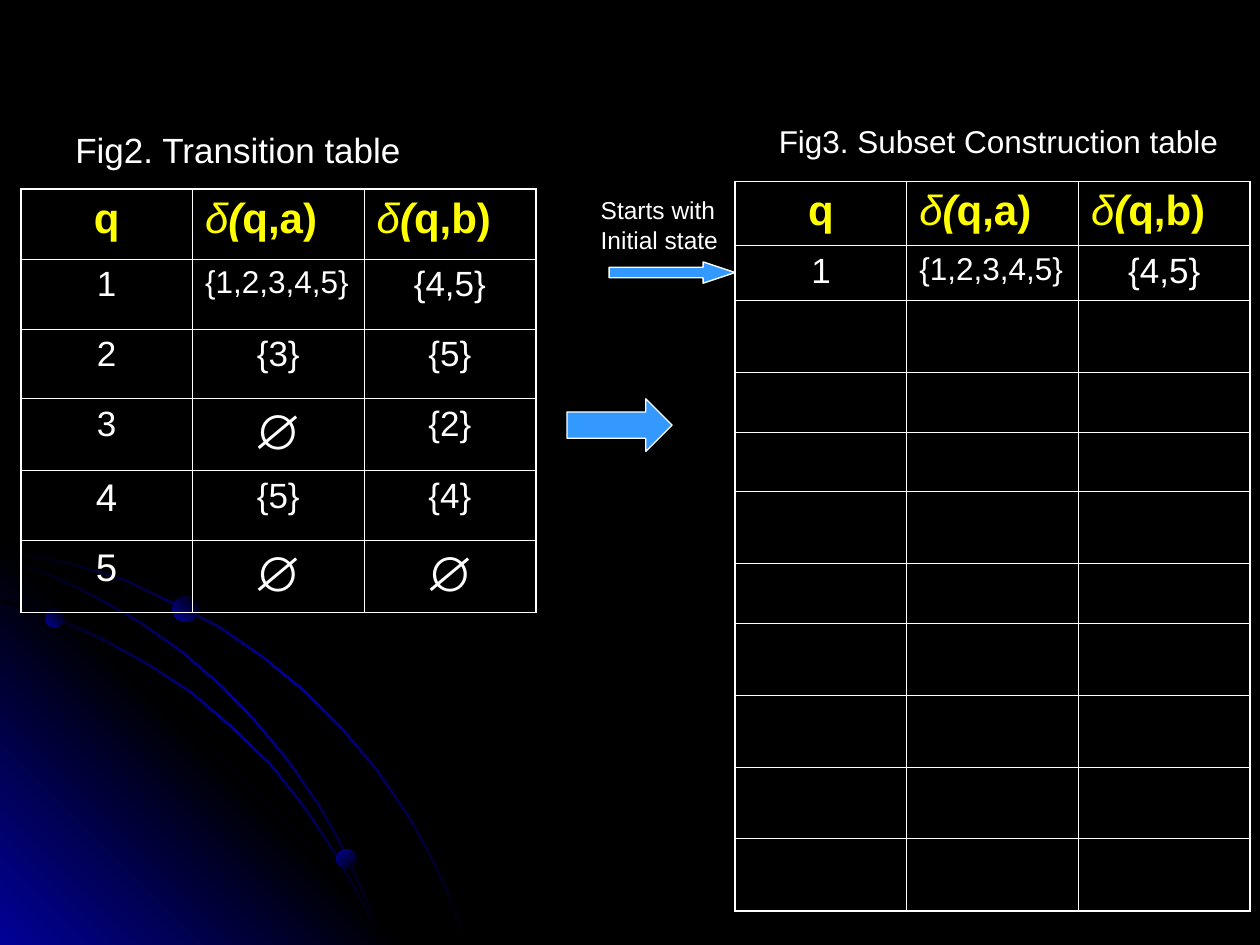
from lxml import etree
from pptx import Presentation
from pptx.dml.color import RGBColor
from pptx.enum.shapes import MSO_SHAPE
from pptx.enum.text import MSO_AUTO_SIZE, PP_ALIGN
from pptx.oxml import parse_xml
from pptx.util import Cm, Pt

OVAL, ARROW = MSO_SHAPE.OVAL, MSO_SHAPE.RIGHT_ARROW
LEFT, MID = PP_ALIGN.LEFT, PP_ALIGN.CENTER
GROW, FIXED = MSO_AUTO_SIZE.SHAPE_TO_FIT_TEXT, MSO_AUTO_SIZE.NONE
NS = "http://schemas.openxmlformats.org/drawingml/2006/main"

BLACK, WHITE, YELLOW = "000000", "FFFFFF", "FFFF00"
NAVY, SKY = "010199", "3399FF"
THICK, THIN = 1.08, 0.45
COL = 3.46
EMPTY = "∅"

# Upper edges of the arcs, in cm
OUTER = [(0, 11.05), (0.71, 11.2), (1.45, 11.35), (2.49, 11.66),
         (3.45, 12.12), (4.42, 12.62), (5.31, 13.23), (6.15, 13.92),
         (6.91, 14.68), (7.62, 15.52), (8.26, 16.46), (8.61, 17.09),
         (8.94, 17.73), (9.19, 18.36), (9.45, 19.02)]
INNER = [(0, 12.07), (1.04, 12.4), (2.01, 12.83), (2.97, 13.36),
         (3.86, 13.94), (4.67, 14.63), (5.46, 15.39), (6.15, 16.26),
         (6.76, 17.17), (7.26, 18.08), (7.52, 18.54), (7.7, 19.02)]
MIDDLE = [(0, 11.23), (0.99, 11.56), (1.93, 12.01), (2.82, 12.52),
          (3.66, 13.11), (4.45, 13.79), (5.18, 14.55), (5.82, 15.32),
          (6.45, 16.23), (6.83, 16.89), (7.16, 17.6), (7.47, 18.29),
          (7.7, 19.02)]

MOVES = [["1", "{1,2,3,4,5}", "{4,5}"], ["2", "{3}", "{5}"],
         ["3", EMPTY, "{2}"], ["4", "{5}", "{4}"], ["5", EMPTY, EMPTY]]
SIZES = {"{1,2,3,4,5}": 18, EMPTY: 28, "4": 22, "5": 22}


def tint(code):
    return RGBColor.from_string(code)


def write(par, text, size=20, color=WHITE, bold=False, slant=False):
    run = par.add_run()
    run.text = text
    font = run.font
    font.name, font.size = "Arial", Pt(size)
    font.bold, font.italic = bold, slant
    font.color.rgb = tint(color)


def add_text(slide, lines, x, y, w, h, size, wrap=True, fit=GROW):
    box = slide.shapes.add_textbox(Cm(x), Cm(y), Cm(w), Cm(h))
    frame = box.text_frame
    frame.word_wrap, frame.auto_size = wrap, fit
    for i, line in enumerate(lines):
        par = frame.add_paragraph() if i else frame.paragraphs[0]
        write(par, line, size=size)


def shade(shape, stops, angle):
    """Give a shape an even linear gradient and no line or shadow."""
    shape.shadow.inherit = False
    shape.line.fill.background()
    shape.fill.background()
    last = len(stops) - 1
    marks = "".join(
        f'<a:gs pos="{100000 * i // last}"><a:srgbClr val="{code}"/></a:gs>'
        for i, code in enumerate(stops))
    grad = parse_xml(f'<a:gradFill xmlns:a="{NS}"><a:gsLst>{marks}</a:gsLst>'
                     f'<a:lin ang="{angle * 60000}" scaled="0"/></a:gradFill>')
    props = shape._element.spPr
    props.replace(props.find(f"{{{NS}}}noFill"), grad)


def add_free(slide, points, stops, angle):
    spots = [(Cm(x), Cm(y)) for x, y in points]
    pen = slide.shapes.build_freeform(*spots[0])
    pen.add_line_segments(spots[1:], close=True)
    shade(pen.convert_to_shape(), stops, angle)


def add_arc(slide, edge):
    last = len(edge) - 1
    under = [(x - 0.05 * i / last, y + 0.05 * (1 - i / last))
             for i, (x, y) in enumerate(edge)]
    add_free(slide, edge + under[::-1], [BLACK, NAVY, BLACK], 225)


def add_dot(slide, x, y, size, angle):
    dot = slide.shapes.add_shape(OVAL, Cm(x), Cm(y), Cm(size), Cm(size))
    shade(dot, [BLACK, NAVY], angle)


def add_arrow(slide, x, y, w, h, head):
    arrow = slide.shapes.add_shape(ARROW, Cm(x), Cm(y), Cm(w), Cm(h))
    arrow.adjustments[0], arrow.adjustments[1] = 0.5, head
    arrow.shadow.inherit = False
    arrow.fill.solid()
    arrow.fill.fore_color.rgb = tint(SKY)
    arrow.line.color.rgb = tint(WHITE)
    arrow.line.width = Pt(0.75)


def set_edge(cell, side, width):
    props = cell._tc.get_or_add_tcPr()
    line = etree.SubElement(props, f"{{{NS}}}ln{side}", w=str(Pt(width)))
    fill = etree.SubElement(line, f"{{{NS}}}solidFill")
    etree.SubElement(fill, f"{{{NS}}}srgbClr", val=WHITE)


def add_head(cell, col):
    par = cell.text_frame.paragraphs[0]
    look = {"size": 24, "color": YELLOW}
    if col == 0:
        par.alignment = MID
        write(par, "q", bold=True, **look)
    else:
        write(par, "δ", slant=True, **look)
        write(par, "(", bold=True, slant=True, **look)
        write(par, f"q,{' ab'[col]})", bold=True, **look)


def add_grid(slide, x, y, heights, rows):
    count = len(heights)
    frame = slide.shapes.add_table(count, 3, Cm(x), Cm(y), Cm(3 * COL),
                                   Cm(sum(heights)))
    table = frame.table
    table.first_row = table.horz_banding = False
    for col in table.columns:
        col.width = Cm(COL)
    for r, high in enumerate(heights):
        table.rows[r].height = Cm(high)
        for c in range(3):
            cell = table.cell(r, c)
            # Heavy lines on the outside, fine lines within
            rim = {"L": c == 0, "R": c == 2, "T": r == 0, "B": r == count - 1}
            for side, outer in rim.items():
                set_edge(cell, side, THICK if outer else THIN)
            cell.fill.background()
            if r == 0:
                add_head(cell, c)
            elif r <= len(rows):
                text = rows[r - 1][c]
                par = cell.text_frame.paragraphs[0]
                par.alignment = LEFT if len(text) > 5 else MID
                write(par, text, size=SIZES.get(text, 20))


def main():
    deck = Presentation()
    deck.slide_width, deck.slide_height = Cm(25.4), Cm(19.05)
    slide = deck.slides.add_slide(deck.slide_layouts[6])
    back = slide.background.fill
    back.solid()
    back.fore_color.rgb = tint(BLACK)

    # Corner glow, arcs and dots
    add_arc(slide, OUTER)
    add_free(slide, [(8.18, 19.05), (0, 19.05), (0, 10.85)],
             [NAVY, BLACK, NAVY], 135)
    add_arc(slide, INNER)
    add_arc(slide, MIDDLE)
    add_dot(slide, 0.91, 12.27, 0.38, 135)
    add_dot(slide, 6.78, 17.12, 0.41, 225)
    add_dot(slide, 3.48, 12.01, 0.53, 135)

    # Transition table
    add_text(slide, ["Fig2. Transition table"], 1.27, 2.46, 22.86, 12.57, 20,
             fit=FIXED)
    add_grid(slide, 0.42, 3.81, [1.41, 1.41, 1.41, 1.45, 1.41, 1.45], MOVES)

    # Subset construction table
    add_grid(slide, 14.82, 3.66,
             [1.29, 1.11, 1.45, 1.2, 1.2, 1.45, 1.2] + [1.45] * 4, MOVES[:1])

    # Arrows and labels
    add_arrow(slide, 12.28, 5.28, 2.54, 0.43, 1.5)
    add_arrow(slide, 11.43, 8.04, 2.12, 1.06, 0.5)
    add_text(slide, ["Starts with", "Initial state"], 11.86, 3.81, 3.18, 1.45,
             14)
    add_text(slide, ["Fig3. Subset Construction table"], 15.45, 2.34, 9.37,
             1.02, 18, wrap=False)

    deck.save("out.pptx")


if __name__ == "__main__":
    main()
